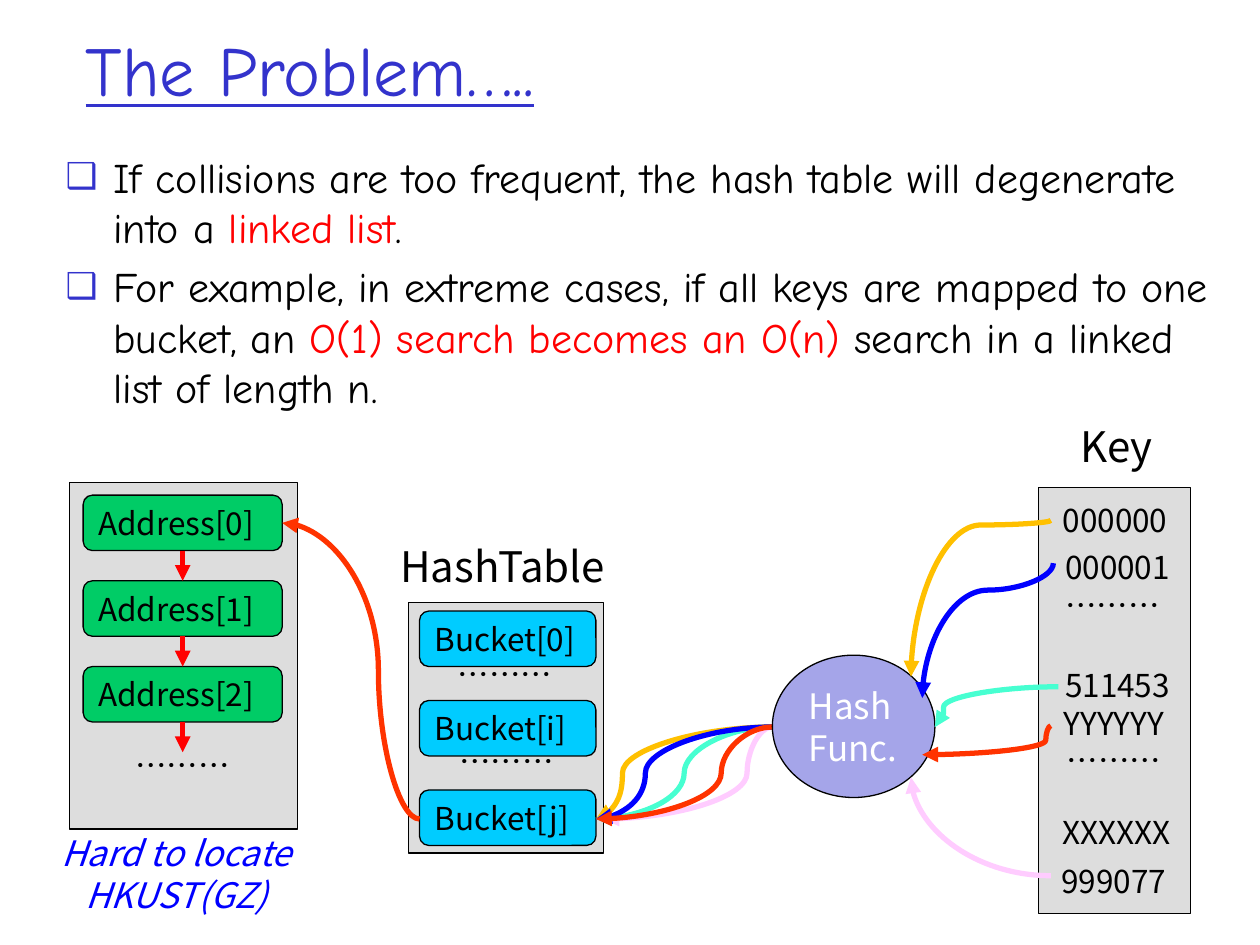
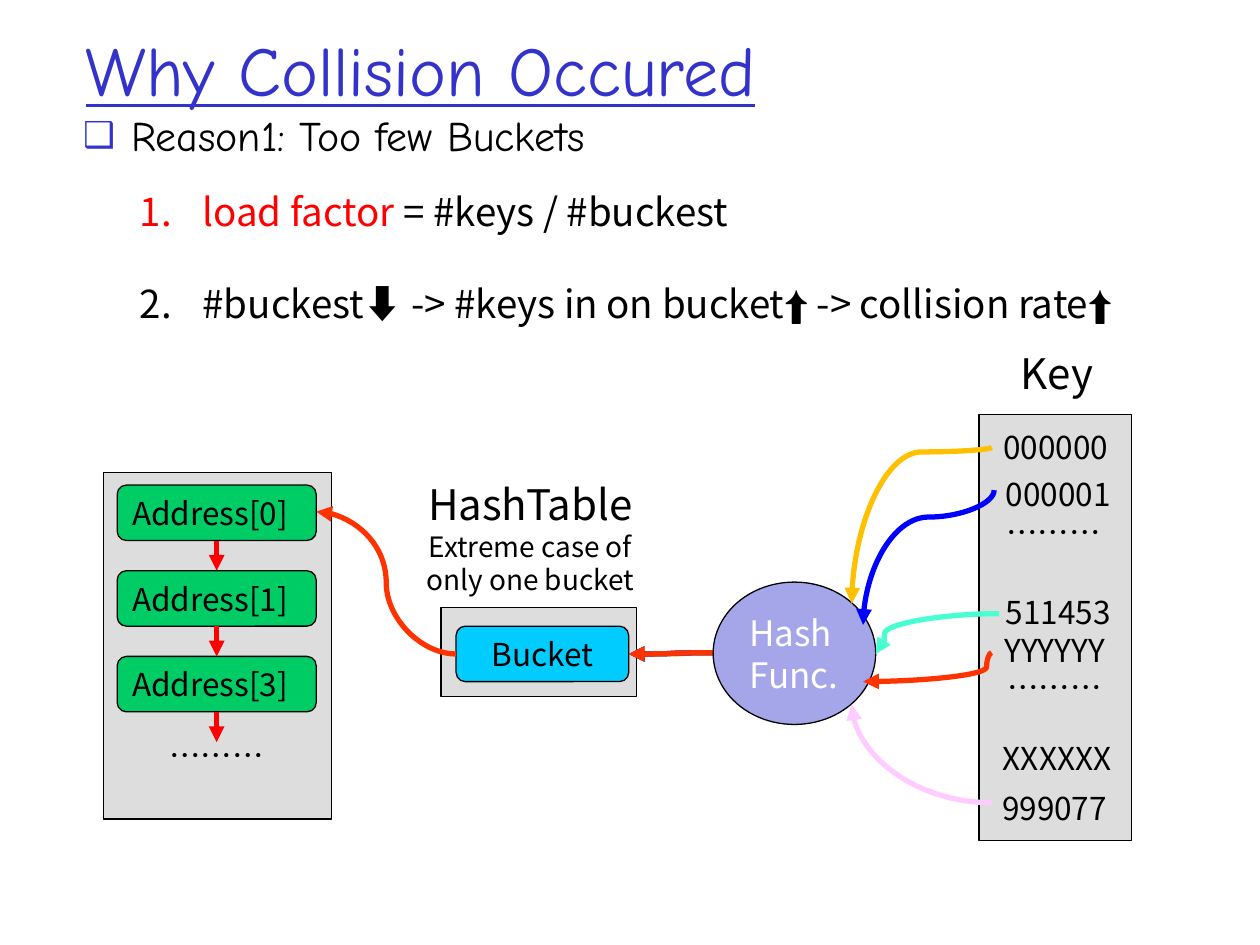
"""Build two slides on hash collisions: the problem, and too few buckets as its cause."""
from lxml.etree import SubElement
from pptx import Presentation
from pptx.dml.color import RGBColor
from pptx.enum.shapes import MSO_CONNECTOR, MSO_SHAPE
from pptx.enum.text import MSO_ANCHOR, MSO_AUTO_SIZE, PP_ALIGN
from pptx.oxml.ns import qn
from pptx.util import Inches, Pt

TITLE_FONT, DIAGRAM_FONT, ARROW_FONT = "Comic Neue", "Noto Sans CJK JP", "Arial"
BLACK, WHITE, RED, BLUE, TITLE_BLUE = "000000", "FFFFFF", "FF0000", "0000FF", "3333CC"
GREY, CYAN, GREEN, LILAC = "DDDDDD", "00CCFF", "00CC66", "A5A5E9"
YELLOW, PINK, TEAL, ORANGE = "FFC000", "FFCCFF", "47FFD1", "FF3300"
DOTS = "………"
LABEL_WIDTH = 2.26

PROBLEM = [
    ["If collisions are too frequent, the hash table will degenerate into a ",
     ("linked list", {"color": RED}), "."],
    ["For example, in extreme cases, if all keys are mapped to one bucket, an ",
     ("O(1) search becomes an O(n)", {"color": RED}),
     " search in a linked list of length n."],
]
REASON = [["Reason1: Too few Buckets"]]
UP_ARROW = ("⬆️", {"font": ARROW_FONT})
FACTORS = [
    [("load factor ", {"color": RED}), "= #keys / #buckest"],
    ["#buckest⬇️ -> #keys in on bucket", UP_ARROW, " -> collision rate", UP_ARROW],
]
KEYS = [
    ("000000", 7.72, 3.93), ("511453", 7.74, 5.24), ("000001", 7.74, 4.3),
    ("999077", 7.71, 6.79), (DOTS, 7.7, 4.6), (DOTS, 7.71, 5.83),
    ("XXXXXX", 7.73, 6.4), ("YYYYYY", 7.71, 5.54),
]
KEY_CURVES = [
    (YELLOW, (8.34, 4.13), (7.23, 5.37), 90, 0.03),
    (PINK, (8.34, 6.95), (7.23, 6.17), 180, None),
    (TEAL, (8.4, 5.45), (7.42, 5.77), 180, 0.93),
    (BLUE, (8.36, 4.47), (7.32, 5.54), 90, 0.2),
    (ORANGE, (8.34, 5.76), (7.32, 5.99), 180, 0.04),
]
BUCKETS = [("Bucket[0]", 4.85), ("Bucket[i]", 5.56), ("Bucket[j]", 6.27)]
BUCKET_DOTS = [(2.88, 5.15), (2.89, 5.84)]
MANY_BUCKET_CURVES = [
    (PINK, 6.13, 4.79, 0.15), (TEAL, 6.13, 4.73, 0.5), (YELLOW, 6.13, 4.73, 0.85),
    (BLUE, 6.13, 4.73, 0.72), (ORANGE, 6.13, 4.73, 0.29),
]
ONE_BUCKET_CURVES = [(PINK, 5.87), (TEAL, 5.87), (YELLOW, 5.87), (BLUE, 5.66), (ORANGE, 5.66)]


def rgb(color):
    """Turn a hex string into a colour."""
    return RGBColor.from_string(color)


def add_run(paragraph, text, size=18, font=DIAGRAM_FONT, color=BLACK, underline=None, italic=None):
    """Add formatted text to a paragraph."""
    run = paragraph.add_run()
    run.text = text
    run.font.size, run.font.name = Pt(size), font
    run.font.color.rgb = rgb(color)
    run.font.underline, run.font.italic = underline, italic
    SubElement(run.font._element, qn("a:ea"), typeface=font)


def place(shape, left, top, width, height):
    """Move and size a shape, in inches."""
    shape.left, shape.top = Inches(left), Inches(top)
    shape.width, shape.height = Inches(width), Inches(height)


def add_list(frame, items, bullet, indent, gap, **text_format):
    """Fill a text frame with bulleted paragraphs made of plain and special runs."""
    for index, parts in enumerate(items):
        paragraph = frame.add_paragraph() if index else frame.paragraphs[0]
        properties = paragraph._p.get_or_add_pPr()
        properties.set("marL", str(Inches(indent)))
        properties.set("indent", str(-Inches(indent)))
        bullet(properties)
        paragraph.space_before = Pt(gap if index else 0)
        for part in parts:
            text, special = (part, {}) if isinstance(part, str) else part
            add_run(paragraph, text, **{**text_format, **special})


def square_bullet(properties):
    """Give a paragraph a blue square bullet."""
    SubElement(SubElement(properties, qn("a:buClr")), qn("a:srgbClr"), val=TITLE_BLUE)
    SubElement(properties, qn("a:buSzPct"), val="85000")
    SubElement(properties, qn("a:buChar"), char="❑")


def number_bullet(properties):
    """Number a paragraph."""
    SubElement(properties, qn("a:buAutoNum"), type="arabicPeriod")


def add_slide(presentation, title, items, box):
    """Add a slide with its title and bulleted list."""
    slide = presentation.slides.add_slide(presentation.slide_layouts[1])
    heading, body = slide.placeholders
    place(heading, 0.58, 0.25, 8.5, 0.59)
    place(body, *box)
    for placeholder in (heading, body):
        placeholder.text_frame.auto_size = MSO_AUTO_SIZE.NONE
    heading.text_frame.vertical_anchor = MSO_ANCHOR.MIDDLE
    paragraph = heading.text_frame.paragraphs[0]
    paragraph.alignment = PP_ALIGN.LEFT
    add_run(paragraph, title, size=40, font=TITLE_FONT, color=TITLE_BLUE, underline=True)
    add_list(body.text_frame, items, square_bullet, 0.38, 5, size=24, font=TITLE_FONT)
    return slide


def add_text_box(slide, left, top, width, height):
    """Add a wrapping text box and return its frame."""
    box = slide.shapes.add_textbox(Inches(left), Inches(top), Inches(width), Inches(height))
    box.text_frame.word_wrap = True
    box.text_frame.auto_size = MSO_AUTO_SIZE.SHAPE_TO_FIT_TEXT
    return box.text_frame


def add_label(slide, text, left, top, width=LABEL_WIDTH, height=0.4, **text_format):
    """Add a centred label and return its frame."""
    frame = add_text_box(slide, left, top, width, height)
    frame.paragraphs[0].alignment = PP_ALIGN.CENTER
    add_run(frame.paragraphs[0], text, **text_format)
    return frame


def add_box(slide, kind, fill, left, top, width, height, text="", align=PP_ALIGN.LEFT, **text_format):
    """Add a filled, thinly outlined shape."""
    shape = slide.shapes.add_shape(kind, Inches(left), Inches(top), Inches(width), Inches(height))
    shape.shadow.inherit = False
    shape.fill.solid()
    shape.fill.fore_color.rgb = rgb(fill)
    shape.line.color.rgb = rgb(BLACK)
    shape.line.width = Pt(0.75)
    if text:
        shape.text_frame.vertical_anchor = MSO_ANCHOR.MIDDLE
        shape.text_frame.word_wrap = True
        shape.text_frame.paragraphs[0].alignment = align
        add_run(shape.text_frame.paragraphs[0], text, **text_format)
    return shape


def add_arrow(slide, kind, color, begin, end):
    """Add a connector with an arrowhead at its end."""
    connector = slide.shapes.add_connector(kind, *map(Inches, begin + end))
    connector.line.color.rgb = rgb(color)
    connector.line.width = Pt(3)
    SubElement(connector.line._get_or_add_ln(), qn("a:tailEnd"), type="triangle")
    SubElement(connector._element.spPr, qn("a:effectLst"))
    return connector


def add_curve(slide, color, begin, end, turn=180, bend=0.5):
    """Add a leftward curved arrow, leaving sideways (180) or downward (90)."""
    across, down = begin[0] - end[0], abs(end[1] - begin[1])
    width, height = (down, across) if turn == 90 else (across, down)
    left = (begin[0] + end[0] - width) / 2
    top = (begin[1] + end[1] - height) / 2
    curve = add_arrow(slide, MSO_CONNECTOR.CURVE, color, (left, top), (left + width, top + height))
    properties = curve._element.spPr
    transform = properties.find(qn("a:xfrm"))
    transform.set("rot", str(turn * 60000))
    if turn == 180 and end[1] >= begin[1]:
        transform.set("flipV", "1")
    geometry = properties.find(qn("a:prstGeom"))
    if bend is None:
        geometry.set("prst", "curvedConnector2")
    else:
        SubElement(geometry.find(qn("a:avLst")), qn("a:gd"), name="adj1", fmla=f"val {round(bend * 100000)}")


def add_key_panel(slide, right=0, down=0):
    """Add the keys, the hash function and the curves between them, shifted."""
    def shift(point):
        return point[0] + right, point[1] + down

    add_label(slide, "Key", *shift((7.73, 3.29)), height=0.5, size=24)
    add_box(slide, MSO_SHAPE.RECTANGLE, GREY, *shift((8.24, 3.87)), 1.21, 3.38)
    for text, left, top in KEYS:
        add_label(slide, text, *shift((left, top)))
    add_box(slide, MSO_SHAPE.OVAL, LILAC, *shift((6.13, 5.2)), 1.29, 1.13,
            "Hash Func.", size=20, color=WHITE)
    for color, begin, end, turn, bend in KEY_CURVES:
        add_curve(slide, color, shift(begin), shift(end), turn, bend)


def add_address_panel(slide, names, left, top):
    """Add the chain of addresses, joined by arrows."""
    pitch, height, width = 0.68, 0.44, 1.58
    add_box(slide, MSO_SHAPE.RECTANGLE, GREY, left, top, 1.81, 2.75)
    first_top, middle = top + 0.1, left + 0.11 + width / 2
    boxes = [add_box(slide, MSO_SHAPE.ROUNDED_RECTANGLE, GREEN, left + 0.11,
                     first_top + index * pitch, width, height, name)
             for index, name in enumerate(names)]
    for index, box in enumerate(boxes):
        bottom = first_top + index * pitch + height
        arrow = add_arrow(slide, MSO_CONNECTOR.STRAIGHT, RED, (middle, bottom), (middle, bottom + 0.24))
        arrow.begin_connect(box, 2)
        if index + 1 < len(boxes):
            arrow.end_connect(boxes[index + 1], 0)
    add_label(slide, DOTS, left - 0.23, top + 2.04)


def build_problem(presentation):
    """Build the slide on every key landing in one of many buckets."""
    slide = add_slide(presentation, "The Problem…..", PROBLEM, (0.42, 1.15, 9.4, 1.34))
    add_box(slide, MSO_SHAPE.RECTANGLE, GREY, 3.24, 4.78, 1.55, 1.99)
    add_label(slide, "HashTable", 2.86, 4.24, height=0.5, size=24)
    for name, top in BUCKETS:
        add_box(slide, MSO_SHAPE.ROUNDED_RECTANGLE, CYAN, 3.33, top, 1.4, 0.44, name)
    for left, top in BUCKET_DOTS:
        add_label(slide, DOTS, left, top)
    for color, begin, end, bend in MANY_BUCKET_CURVES:
        add_curve(slide, color, (begin, 5.77), (end, 6.5), bend=bend)
    add_key_panel(slide)
    add_address_panel(slide, ["Address[0]", "Address[1]", "Address[2]"], 0.55, 3.83)
    add_curve(slide, ORANGE, (3.33, 6.5), (2.24, 4.15), bend=0.3)
    add_label(slide, "Hard to locate HKUST(GZ)", -0.11, 6.55, 3.02, 0.77,
              size=20, color=BLUE, italic=True)


def build_reason(presentation):
    """Build the slide on the extreme case of a single bucket."""
    slide = add_slide(presentation, "Why Collision Occured", REASON, (0.56, 0.82, 9.4, 0.59))
    factors = add_text_box(slide, 1.01, 1.44, 9.99, 1.62)
    add_list(factors, FACTORS, number_bullet, 0.5, 26.5, size=22)
    add_box(slide, MSO_SHAPE.RECTANGLE, GREY, 3.5, 4.82, 1.55, 0.71)
    heading = add_label(slide, "HashTable", 3.08, 3.75, height=1.04, size=24)
    paragraph = heading.add_paragraph()
    paragraph.alignment = PP_ALIGN.CENTER
    add_run(paragraph, "Extreme case of only one bucket", size=16)
    add_box(slide, MSO_SHAPE.ROUNDED_RECTANGLE, CYAN, 3.62, 4.97, 1.37, 0.44,
            "Bucket", PP_ALIGN.CENTER)
    for color, begin in ONE_BUCKET_CURVES:
        add_curve(slide, color, (begin, 5.18), (4.99, 5.19))
    add_key_panel(slide, -0.47, -0.58)
    add_address_panel(slide, ["Address[0]", "Address[1]", "Address[3]"], 0.82, 3.75)
    add_curve(slide, ORANGE, (3.62, 5.19), (2.51, 4.06))


def main():
    """Build and save the presentation."""
    presentation = Presentation()
    presentation.slide_width, presentation.slide_height = Inches(10), Inches(7.5)
    build_problem(presentation)
    build_reason(presentation)
    presentation.save("out.pptx")


if __name__ == "__main__":
    main()
